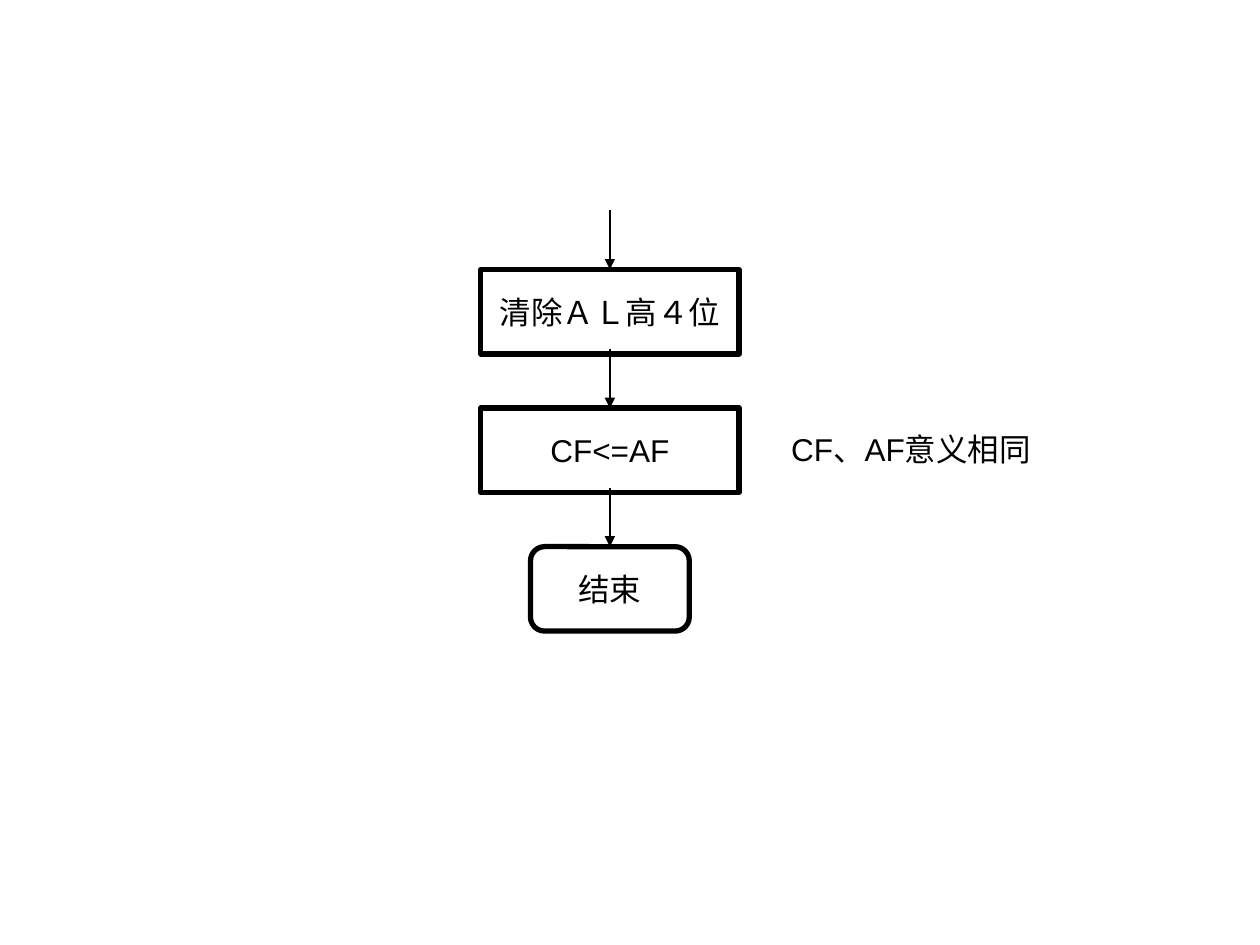
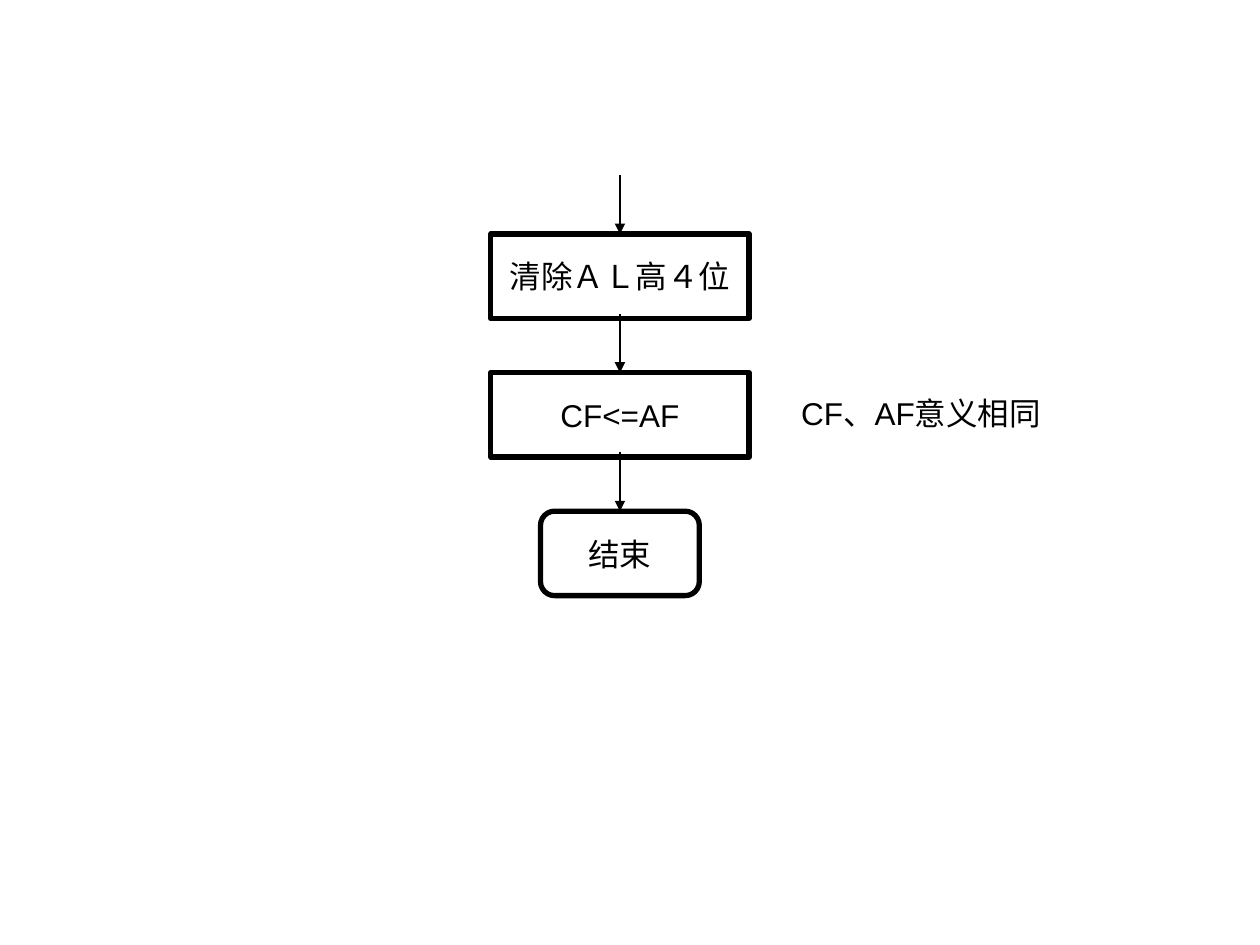
"""Builds two slides that show the closing steps of a flowchart."""
import pptx
import pptx.util
import pptx.dml.color
import pptx.enum.shapes
import pptx.enum.text
import pptx.oxml
import pptx.oxml.ns

Pt = pptx.util.Pt
Shape = pptx.enum.shapes.MSO_SHAPE
Align = pptx.enum.text.PP_ALIGN
Anchor = pptx.enum.text.MSO_ANCHOR


def color(value):
    return pptx.dml.color.RGBColor.from_string(value)


def apply(target, values):
    for name, value in values.items():
        setattr(target, name, value)


class Flowchart:
    ink = "000000"
    font = {"name": "Arial", "size": Pt(18)}
    thick, thin = Pt(3), Pt(0.75)
    pitch, arrow_length, step_height = 79.2, 33.75, 48.25

    def __init__(self, deck):
        self.deck = deck

    def new_slide(self):
        self.slide = self.deck.slides.add_slide(self.deck.slide_layouts[6])
        self.group = self.slide.shapes.add_group_shape()

    def label(self, shape, text, align, frame_format):
        frame = shape.text_frame
        apply(frame, frame_format)
        para = frame.paragraphs[0]
        para.alignment = align
        span = para.add_run()
        span.text = text
        apply(span.font, self.font)
        span.font.color.rgb = color(self.ink)

    def outline(self, shape, width):
        shape.line.color.rgb = color(self.ink)
        shape.line.width = width

    def arrow(self, center, top):
        line = self.group.shapes.add_connector(
            pptx.enum.shapes.MSO_CONNECTOR.STRAIGHT,
            Pt(center), Pt(top), Pt(center), Pt(top + self.arrow_length))
        self.outline(line, self.thin)
        namespace = pptx.oxml.ns.nsdecls("a")
        properties = line._element.spPr
        properties.find(pptx.oxml.ns.qn("a:ln")).append(
            pptx.oxml.parse_xml(f'<a:tailEnd {namespace} type="triangle"/>'))
        properties.append(pptx.oxml.parse_xml(f"<a:effectLst {namespace}/>"))

    def step(self, kind, center, top, width, text):
        box = self.group.shapes.add_shape(
            kind, Pt(center - width / 2), Pt(top), Pt(width), Pt(self.step_height))
        box.shadow.inherit = False
        box.fill.background()
        self.outline(box, self.thick)
        self.label(box, text, Align.CENTER,
                   {"word_wrap": False, "vertical_anchor": Anchor.MIDDLE})

    def note(self, left, top, text):
        box = self.slide.shapes.add_textbox(Pt(left), Pt(top), Pt(151.2), Pt(28.8))
        self.label(box, text, Align.LEFT, {"word_wrap": True})

    def draw(self, center, top, steps, remark):
        self.new_slide()
        for index, (kind, width, text) in enumerate(steps):
            start = top + index * self.pitch
            self.step(kind, center, start + self.arrow_length, width, text)
            self.arrow(center, start)
        self.note(center + 96.5, top + 121.7, remark)


STEPS = [
    (Shape.FLOWCHART_PROCESS, 147.5, "清除ＡＬ高４位"),
    (Shape.FLOWCHART_PROCESS, 147.5, "CF<=AF"),
    (Shape.FLOWCHART_ALTERNATE_PROCESS, 90.75, "结束"),
]
REMARK = "CF、AF意义相同"

deck = pptx.Presentation()
apply(deck, {"slide_width": Pt(720), "slide_height": Pt(540)})
chart = Flowchart(deck)
for center, top in [(348.5, 120.25), (354.25, 100)]:
    chart.draw(center, top, STEPS, REMARK)
deck.save("out.pptx")
